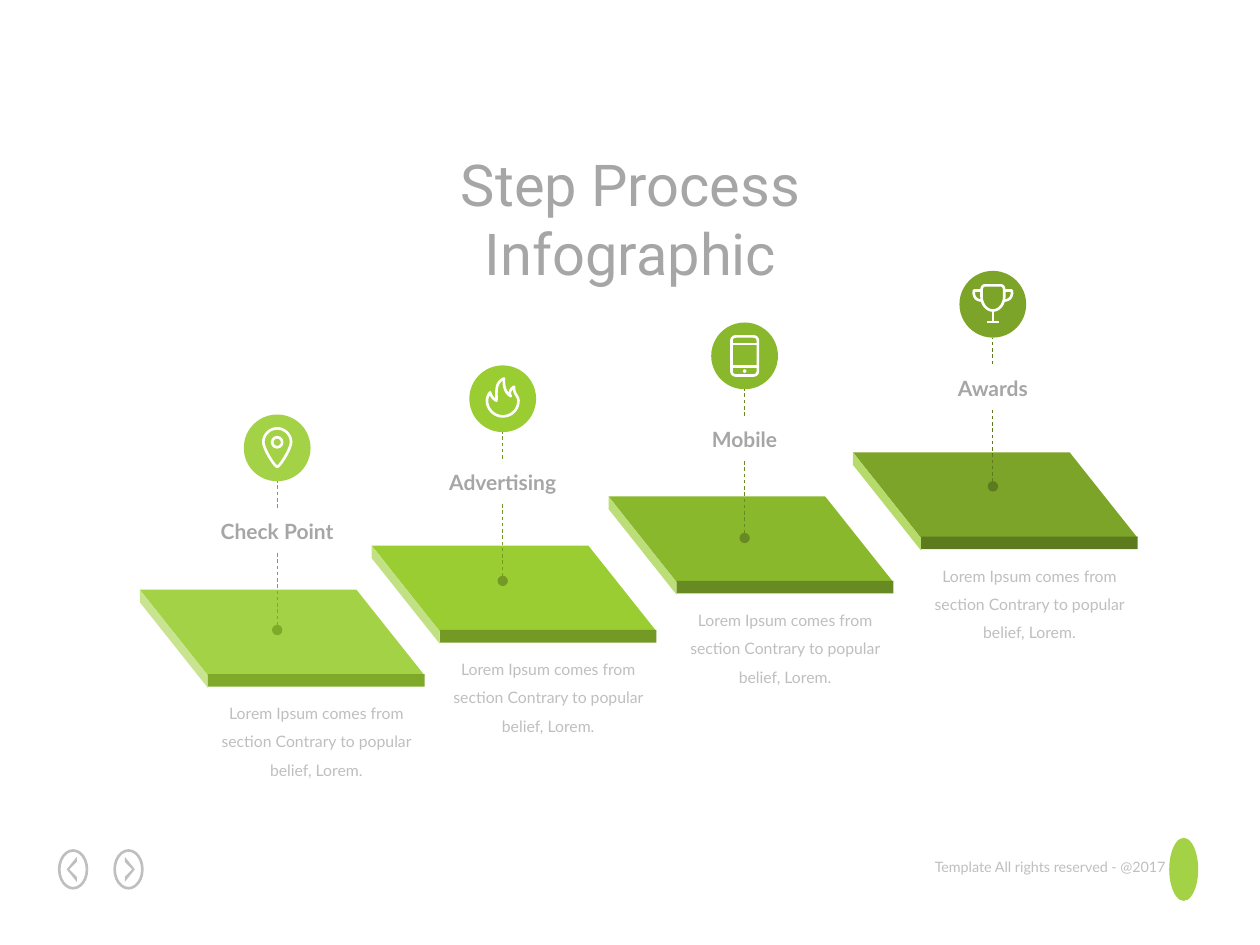
from collections import namedtuple

from lxml import etree
from pptx import Presentation
from pptx import util as u
from pptx.dml.color import RGBColor
from pptx.enum import dml, shapes, text
from pptx.oxml import ns

THEME = {
    "heading": {"name": "Roboto", "size": u.Pt(33), "color": "A6A6A6"},
    "label": {"name": "Lato", "size": u.Pt(12), "color": "A6A6A6", "bold": True},
    "caption": {"name": "Lato", "size": u.Pt(9), "color": "BFBFBF"},
    "footer": {"name": "Lato", "size": u.Pt(8.2), "color": "BFBFBF"},
    "icon": "FFFFFF", "nav": "BFBFBF", "accent": "A4D246",
    "icon_line": u.Pt(1.5), "nav_line": u.Pt(1.5), "guide_line": u.Pt(0.5),
}
CAPTION = "Lorem Ipsum comes from section Contrary to popular belief, Lorem."
OVAL = shapes.MSO_SHAPE.OVAL

# slab: left, top of the platform; axis: centre of the disc; disc: its top
Step = namedtuple("Step", "label icon slab axis disc top_color side_color front_color")
STEPS = [
    Step("Check Point", "pin", (1.11, 4.68), 2.2, 3.29, "A4D246", "C8E490", "7FA929"),
    Step("Advertising", "flame", (2.95, 4.33), 3.99, 2.9, "9ACD32", "C2E184", "749A25"),
    Step("Mobile", "phone", (4.83, 3.94), 5.91, 2.56, "8AB82D", "BCDE78", "678A22"),
    Step("Awards", "trophy", (6.77, 3.59), 7.88, 2.15, "7BA428", "B6DB6B", "5C7B1E"),
]

# Strokes in hundredths of an inch from the disc centre: a start point, then
# line ends (2 numbers) or cubic curves (6 numbers).
ICON_STROKES = {
    "pin": [[(0, -15.5), (-6, -15.5, -11, -10.5, -11, -4.5), (-11, 0.5, -2, 15, 0, 15),
             (2, 15, 11, 0.5, 11, -4.5), (11, -10.5, 6, -15.5, 0, -15.5)]],
    "flame": [[(9, -9.5), (5.5, -7.5, 5, -4, 6.5, -2), (2, -4.5, 0.5, -10, 1, -16),
               (-7, -13, -4.5, -3, -5, 1.5), (-8, 0, -9.5, -3, -10, -5),
               (-11.5, -3.5, -12.5, -0.5, -12.5, 1.5), (-12.5, 8.5, -6.5, 14, 0, 14),
               (7, 14, 12.5, 8.5, 12.5, 1.5), (12.5, -2, 8.5, -4, 9, -9.5)]],
    "phone": [[(-7, -15.5), (7, -15.5), (9, -15.5, 10.5, -14, 10.5, -12), (10.5, 12),
               (10.5, 14, 9, 15.5, 7, 15.5), (-7, 15.5), (-9, 15.5, -10.5, 14, -10.5, 12),
               (-10.5, -12), (-10.5, -14, -9, -15.5, -7, -15.5)],
              [(-10.5, -9.5), (10.5, -9.5)], [(-10.5, 8.5), (10.5, 8.5)]],
    "trophy": [[(-9, -11), (-9, -13.5, -8, -15, -6, -15), (6, -15), (8, -15, 9, -13.5, 9, -11),
                (9, -6), (9, 0, 5, 5, 0, 5), (-5, 5, -9, 0, -9, -6), (-9, -11)],
               [(-9, -11), (-15, -11), (-16, -6, -13, -3, -9, -3)],
               [(9, -11), (15, -11), (16, -6, 13, -3, 9, -3)],
               [(0, 5), (0, 14)], [(-4.5, 14), (4.5, 14)]],
}
# ring or dot: centre height, radius, filled
ICON_ROUNDS = {"pin": (-4.5, 4, False), "phone": (12, 1.4, True)}


def paint(shape, fill=None, line=None, width=None):
    """Set fill and outline, without shadow."""
    shape.shadow.inherit = False
    if fill:
        shape.fill.solid()
        shape.fill.fore_color.rgb = RGBColor.from_string(fill)
    else:
        shape.fill.background()
    if line:
        shape.line.color.rgb = RGBColor.from_string(line)
        shape.line.width = width
    else:
        shape.line.fill.background()


def add_preset(slide, kind, box, **colors):
    """Add a painted preset shape; box is left, top, width, height in inches."""
    paint(slide.shapes.add_shape(kind, *map(u.Inches, box)), **colors)


def add_outline(slide, points, closed=True, **colors):
    """Add a painted freeform through points given in inches."""
    start, *rest = [(u.Inches(x), u.Inches(y)) for x, y in points]
    builder = slide.shapes.build_freeform(*start)
    builder.add_line_segments(rest, close=closed)
    paint(builder.convert_to_shape(), **colors)


def flatten(stroke, count=10):
    """Turn a stroke of lines and cubic curves into plain points."""
    points = [stroke[0]]
    for part in stroke[1:]:
        if len(part) == 2:
            points.append(part)
            continue
        knots = [points[-1], part[:2], part[2:4], part[4:]]
        for i in range(1, count + 1):
            t = i / count
            weights = ((1 - t) ** 3, 3 * t * (1 - t) ** 2, 3 * t * t * (1 - t), t ** 3)
            points.append(tuple(sum(w * k[axis] for w, k in zip(weights, knots))
                                for axis in (0, 1)))
    return points


def write(frame, words, style, align=text.PP_ALIGN.CENTER, spacing=1.0):
    """Put one formatted paragraph into a text frame."""
    layout = {"word_wrap": True, "auto_size": text.MSO_AUTO_SIZE.NONE,
              "vertical_anchor": text.MSO_ANCHOR.TOP}
    for key, value in layout.items():
        setattr(frame, key, value)
    paragraph = frame.paragraphs[0]
    paragraph.alignment, paragraph.line_spacing = align, spacing
    run = paragraph.add_run()
    run.text = words
    for key, value in THEME[style].items():
        if key == "color":
            run.font.color.rgb = RGBColor.from_string(value)
        else:
            setattr(run.font, key, value)


def add_words(slide, box, words, style, **options):
    """Add a text box; box is in inches."""
    write(slide.shapes.add_textbox(*map(u.Inches, box)).text_frame, words, style, **options)


def add_guide(slide, x, bottom, top, color, dot=False):
    """Add a vertical dashed line, with a dot at its foot if asked."""
    guide = slide.shapes.add_connector(
        shapes.MSO_CONNECTOR.STRAIGHT, *map(u.Inches, (x, bottom, x, top)))
    guide.line.color.rgb = RGBColor.from_string(color)
    guide.line.width = THEME["guide_line"]
    guide.line.dash_style = dml.MSO_LINE.DASH
    if dot:
        etree.SubElement(guide.line._get_or_add_ln(), ns.qn("a:headEnd"), type="oval")
    etree.SubElement(guide._element.spPr, ns.qn("a:effectLst"))


def add_icon(slide, name, x, y):
    """Draw a white icon around the centre x, y."""
    pen = {"line": THEME["icon"], "width": THEME["icon_line"]}
    for stroke in ICON_STROKES[name]:
        points = [(x + dx / 100, y + dy / 100) for dx, dy in flatten(stroke)]
        add_outline(slide, points, closed=stroke[0] == stroke[-1][-2:], **pen)
    if name in ICON_ROUNDS:
        offset, radius, filled = ICON_ROUNDS[name]
        r = radius / 100
        box = (x - r, y + offset / 100 - r, 2 * r, 2 * r)
        add_preset(slide, OVAL, box, **({"fill": THEME["icon"]} if filled else pen))


def add_slab(slide, step):
    """Draw the platform of a step: top, left side and front."""
    x, y = step.slab
    slant, width, depth, thick = 0.54, 1.72, 0.68, 0.1
    add_outline(slide, [(x, y), (x + width, y), (x + width + slant, y + depth),
                        (x + slant, y + depth)], fill=step.top_color)
    add_outline(slide, [(x, y), (x, y + thick), (x + slant, y + depth + thick),
                        (x + slant, y + depth)], fill=step.side_color)
    add_preset(slide, shapes.MSO_SHAPE.RECTANGLE,
               (x + slant, y + depth - 0.01, width, thick), fill=step.front_color)
    add_words(slide, (x + slant, y + 0.78, width, 0.78), CAPTION, "caption", spacing=1.5)


def add_marker(slide, step):
    """Draw the disc, icon, label and guides above a platform."""
    x, y, size = step.axis, step.disc, 0.53
    add_preset(slide, OVAL, (x - size / 2, y, size, size), fill=step.top_color)
    add_guide(slide, x, y + 1.71, y + 1.09, step.front_color, dot=True)
    add_guide(slide, x, y + 0.74, y + size, step.front_color)
    add_words(slide, (x - 0.65, y + 0.78, 1.3, 0.3), step.label, "label")
    add_icon(slide, step.icon, x, y + size / 2)


def add_nav_button(slide, x, direction):
    """Draw an oval button with a chevron; direction is -1 for left, 1 for right."""
    y = 6.9
    add_preset(slide, OVAL, (x - 0.11, y - 0.15, 0.22, 0.3),
               line=THEME["nav"], width=THEME["nav_line"])
    chevron = [(-0.03, -0.06), (0.03, 0), (-0.03, 0.06), (-0.03, 0.1), (0.05, 0), (-0.03, -0.1)]
    add_outline(slide, [(x + direction * dx, y + dy) for dx, dy in chevron], fill=THEME["nav"])


def main():
    """Build the slide and save it."""
    deck = Presentation()
    deck.slide_width, deck.slide_height = u.Inches(10), u.Inches(7.5)
    slide = deck.slides.add_slide(deck.slide_layouts[5])

    heading = slide.shapes.title
    place = {"left": 2.39, "top": 1.13, "width": 5.23, "height": 0.66}
    for key, value in place.items():
        setattr(heading, key, u.Inches(value))
    write(heading.text_frame, "Step Process Infographic", "heading")

    add_words(slide, (7.05, 6.76, 2.3, 0.24), "Template All rights reserved - @2017",
              "footer", align=text.PP_ALIGN.RIGHT)
    add_nav_button(slide, 0.58, -1)
    add_nav_button(slide, 1.02, 1)
    add_preset(slide, OVAL, (9.28, 6.65, 0.23, 0.5), fill=THEME["accent"])

    for step in STEPS:
        add_slab(slide, step)
    for step in STEPS:
        add_marker(slide, step)
    deck.save("out.pptx")


main()
